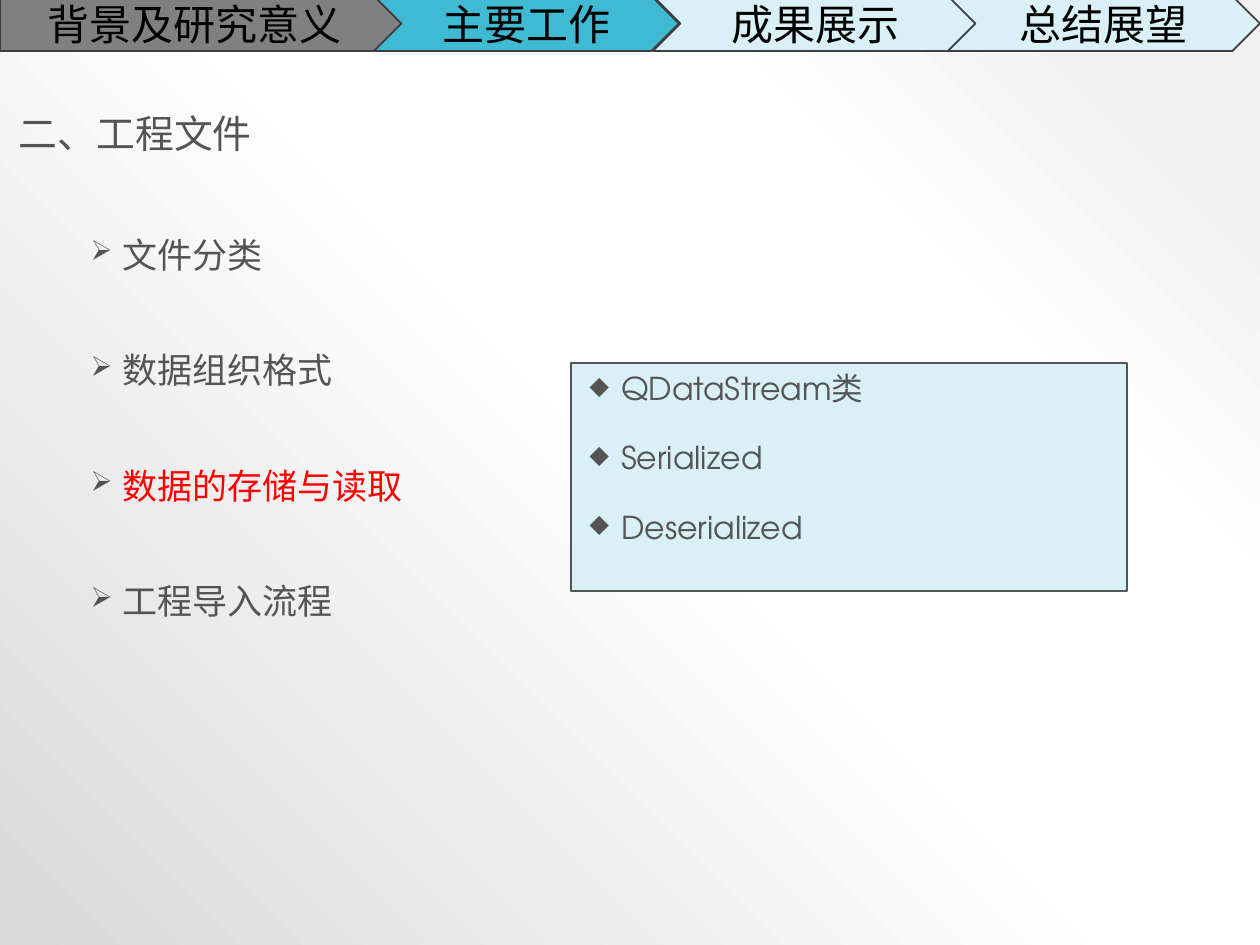
from typing import NamedTuple

from pptx import Presentation
from pptx import util as u
from pptx.dml.color import RGBColor
from pptx.enum import shapes, text
from pptx.oxml import parse_xml
from pptx.oxml.ns import nsdecls, qn

EMU_PER_PX = 914400 / 126
LATIN_FONT = "TeX Gyre Adventor"
CHINESE_FONT = "Noto Sans CJK SC"
COLORS = {
    "done": "808080",
    "current": "40BAD2",
    "pale": "D9F1F6",
    "outline": "3E3E3E",
    "black": "000000",
    "body": "545454",
    "highlight": "FF0000",
}
BACKGROUND_STOPS = [(10, "F2F2F2"), (28, "FFFFFF"), (48, "FFFFFF"), (100, "D9D9D9")]
NAV_TOP, NAV_HEIGHT = -4, 55


class Step(NamedTuple):
    label: str
    left: int
    width: int
    color: str
    preset: shapes.MSO_SHAPE = shapes.MSO_SHAPE.CHEVRON


class TextBlock(NamedTuple):
    box: tuple[int, int, int, int]
    lines: list[str]
    size: float
    font: str
    bullet: str = ""
    line_spacing: float = 1.0
    highlighted: str = ""
    framed: bool = False


STEPS = [
    Step("背景及研究意义", 0, 402, "done", shapes.MSO_SHAPE.PENTAGON),
    Step("主要工作", 374, 305, "current"),
    Step("成果展示", 653, 325, "pale"),
    Step("总结展望", 948, 312, "pale"),
]
BLOCKS = [
    TextBlock((0, 66, 486, 100), ["二、工程文件"], 22.2, CHINESE_FONT, line_spacing=1.8),
    TextBlock(
        (72, 185, 350, 519),
        ["文件分类", "数据组织格式", "数据的存储与读取", "工程导入流程"],
        20, CHINESE_FONT, "➢", 2.0, highlighted="数据的存储与读取",
    ),
    TextBlock(
        (571, 363, 556, 228),
        ["QDataStream类", "Serialized", "Deserialized"],
        18, LATIN_FONT, "◆", framed=True,
    ),
]


def px(length: int) -> u.Emu:
    return u.Emu(round(length * EMU_PER_PX))


def rgb(name: str) -> RGBColor:
    return RGBColor.from_string(COLORS[name])


def paint_background(slide) -> None:
    """Circular gradient centred on the top right corner."""
    stops = "".join(
        f'<a:gs pos="{position * 1000}"><a:srgbClr val="{color}"/></a:gs>'
        for position, color in BACKGROUND_STOPS
    )
    background = parse_xml(
        f'<p:bg {nsdecls("p", "a")}><p:bgPr><a:gradFill rotWithShape="1">'
        f'<a:gsLst>{stops}</a:gsLst><a:path path="circle">'
        '<a:fillToRect l="100000" b="100000"/></a:path></a:gradFill>'
        "<a:effectLst/></p:bgPr></p:bg>"
    )
    slide.element.cSld.insert(0, background)


def add_filled_shape(slide, preset, box: tuple[int, ...], fill: str, line: str):
    shape = slide.shapes.add_shape(preset, *map(px, box))
    shape.shadow.inherit = False
    shape.fill.solid()
    shape.fill.fore_color.rgb = rgb(fill)
    shape.line.color.rgb = rgb(line)
    shape.line.width = u.Pt(1)
    return shape


def format_runs(paragraph, size: float, font: str, color: str) -> None:
    for run in paragraph.runs:
        run.font.size = u.Pt(size)
        run.font.name = font
        run.font.color.rgb = rgb(color)
        east_asian = run.font._element.makeelement(qn("a:ea"), {"typeface": CHINESE_FONT})
        run.font._element.find(qn("a:latin")).addnext(east_asian)


def set_indent(paragraph, bullet: str) -> None:
    properties = paragraph._p.get_or_add_pPr()
    left, hanging = (0.3, -0.25) if bullet else (0.05, 0)
    properties.set("marL", str(u.Inches(left)))
    properties.set("indent", str(u.Inches(hanging)))
    if bullet:
        for tag in (
            f'<a:buClr {nsdecls("a")}><a:srgbClr val="{COLORS["body"]}"/></a:buClr>',
            f'<a:buSzPct {nsdecls("a")} val="80000"/>',
            f'<a:buChar {nsdecls("a")} char="{bullet}"/>',
        ):
            properties.append(parse_xml(tag))


def add_step(slide, step: Step) -> None:
    box = (step.left, NAV_TOP, step.width, NAV_HEIGHT)
    shape = add_filled_shape(slide, step.preset, box, step.color, "outline")
    frame = shape.text_frame
    frame.text = step.label
    frame.vertical_anchor = text.MSO_ANCHOR.MIDDLE
    paragraph = frame.paragraphs[0]
    paragraph.alignment = text.PP_ALIGN.CENTER
    format_runs(paragraph, 24, LATIN_FONT, "black")


def add_text_block(slide, block: TextBlock) -> None:
    if block.framed:
        shape = add_filled_shape(
            slide, shapes.MSO_SHAPE.RECTANGLE, block.box, "pale", "body"
        )
    else:
        shape = slide.shapes.add_textbox(*map(px, block.box))
    frame = shape.text_frame
    frame.word_wrap = True
    frame.vertical_anchor = text.MSO_ANCHOR.TOP
    frame.text = "\n".join(block.lines)
    for paragraph in frame.paragraphs:
        paragraph.alignment = text.PP_ALIGN.LEFT
        paragraph.line_spacing = block.line_spacing
        paragraph.space_before = u.Pt(18)
        set_indent(paragraph, block.bullet)
        color = "highlight" if paragraph.text == block.highlighted else "body"
        format_runs(paragraph, block.size, block.font, color)


def main() -> None:
    presentation = Presentation()
    presentation.slide_width, presentation.slide_height = px(1260), px(945)
    slide = presentation.slides.add_slide(presentation.slide_layouts[6])
    paint_background(slide)
    for step in STEPS:
        add_step(slide, step)
    for block in BLOCKS:
        add_text_block(slide, block)
    presentation.save("out.pptx")


if __name__ == "__main__":
    main()
